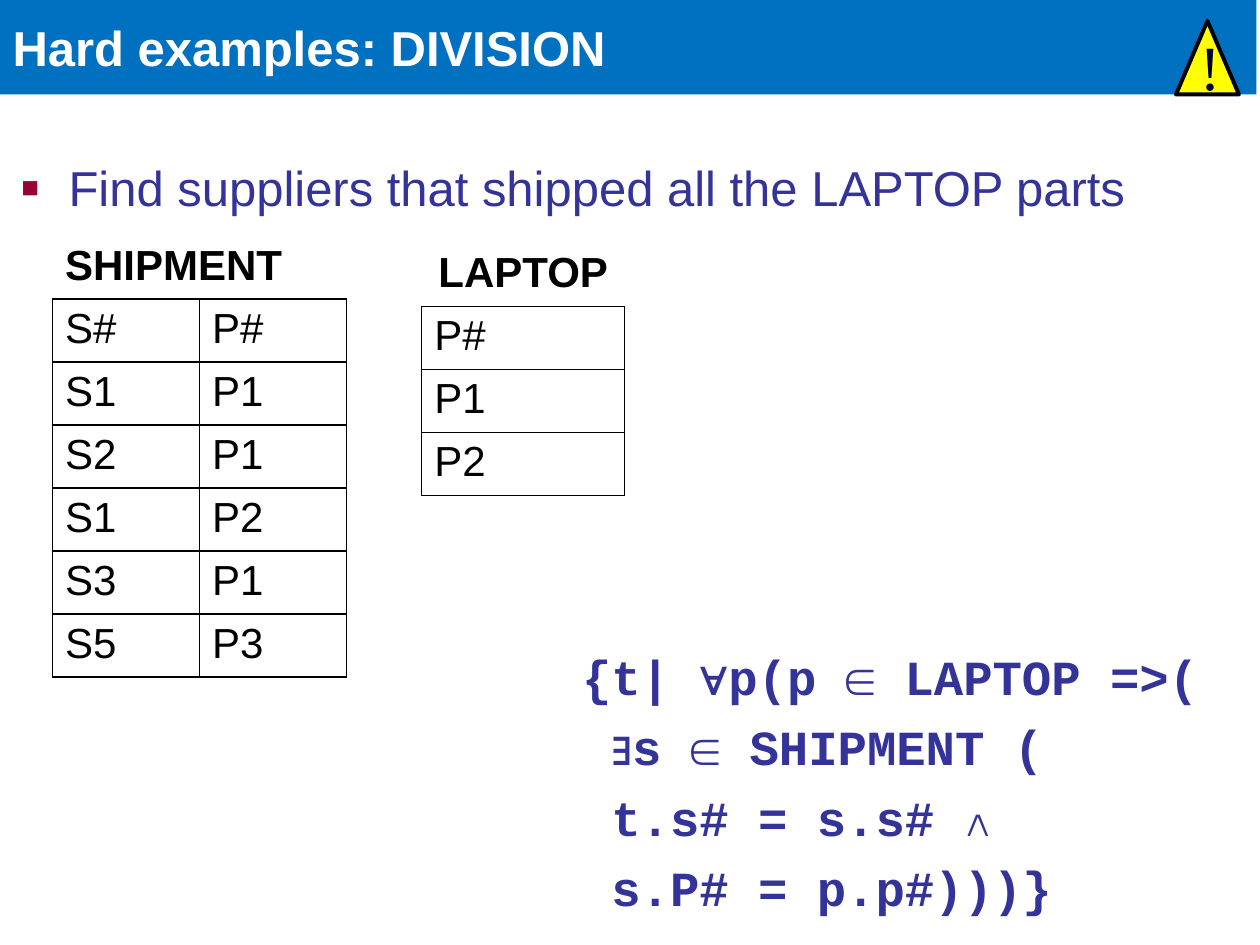
from dataclasses import dataclass

from lxml import etree
from pptx import Presentation
from pptx.dml.color import RGBColor as Rgb
from pptx.enum import shapes as kinds, text as txt
from pptx.oxml.ns import qn
from pptx.util import Pt


@dataclass(frozen=True)
class Theme:
    bar: Rgb = Rgb(0x00, 0x70, 0xC0)
    white: Rgb = Rgb(0xFF, 0xFF, 0xFF)
    ink: Rgb = Rgb(0x33, 0x33, 0x99)
    black: Rgb = Rgb(0, 0, 0)
    navy: Rgb = Rgb(0, 0, 0x33)
    sign: Rgb = Rgb(0xFF, 0xFF, 0)
    bullet: str = "990033"
    sans: str = "Arial"
    mono: str = "Courier New"
    serif: str = "Times New Roman"
    big: int = 28
    cell: int = 24
    mark: int = 36


T = Theme()
ROW = 36


def place(shape, box):
    shape.left, shape.top, shape.width, shape.height = map(Pt, box)


def style(font, name, size, color, bold=False):
    font.name, font.size, font.bold = name, Pt(size), bold
    font.color.rgb = color


def add_title(slide, box, words):
    title = slide.shapes.title
    place(title, box)
    title.fill.solid()
    title.fill.fore_color.rgb = T.bar
    frame = title.text_frame
    frame.text = words
    frame.auto_size = txt.MSO_AUTO_SIZE.NONE
    frame.vertical_anchor = txt.MSO_ANCHOR.MIDDLE
    para = frame.paragraphs[0]
    para.alignment = txt.PP_ALIGN.LEFT
    style(para.font, T.sans, T.big, T.white, True)


def add_bullet(para):
    props = para._p.get_or_add_pPr()
    props.set("marL", str(Pt(27)))
    props.set("indent", str(Pt(-27)))
    color = etree.SubElement(props, qn("a:buClr"))
    etree.SubElement(color, qn("a:srgbClr"), val=T.bullet)
    etree.SubElement(props, qn("a:buSzPct"), val="60000")
    etree.SubElement(props, qn("a:buFont"), typeface=T.sans)
    etree.SubElement(props, qn("a:buChar"), char="■")


def add_task(slide, box, words):
    body = slide.placeholders[1]
    place(body, box)
    frame = body.text_frame
    frame.text = words
    frame.auto_size = txt.MSO_AUTO_SIZE.NONE
    frame.margin_right = 0
    para = frame.paragraphs[0]
    add_bullet(para)
    para.space_before = Pt(6)
    style(para.font, T.sans, T.big, T.ink)


def add_warning(slide, box):
    left, top, width, height = box
    group = slide.shapes.add_group_shape()
    sign = group.shapes.add_shape(
        kinds.MSO_SHAPE.ISOSCELES_TRIANGLE, *map(Pt, box))
    sign.shadow.inherit = False
    sign.fill.solid()
    sign.fill.fore_color.rgb = T.sign
    sign.line.color.rgb = T.black
    sign.line.width = Pt(2.25)
    mark = group.shapes.add_textbox(
        Pt(left + 6.5), Pt(top), Pt(width - 6), Pt(height + 9))
    para = mark.text_frame.paragraphs[0]
    para.text = "!"
    style(para.font, T.serif, T.mark, T.navy)


def set_border(cell, drawn):
    """Draw the sides named in drawn; hide the others."""
    props = cell._tc.get_or_add_tcPr()
    for side in "LRTB":
        line = etree.SubElement(props, qn(f"a:ln{side}"), w=str(Pt(1)))
        if side in drawn:
            fill = etree.SubElement(line, qn("a:solidFill"))
            etree.SubElement(fill, qn("a:srgbClr"), val=str(T.black))
        else:
            etree.SubElement(line, qn("a:noFill"))


def add_relation(slide, spot, width, name, rows, align):
    """Add a table whose open top row holds the relation's name."""
    cols = len(rows[0])
    grid = [[name] + [""] * (cols - 1)] + rows
    table = slide.shapes.add_table(
        len(grid), cols, *map(Pt, (*spot, width, ROW * len(grid)))).table
    table.first_row = table.horz_banding = False
    for r, values in enumerate(grid):
        table.rows[r].height = Pt(ROW)
        for c, value in enumerate(values):
            cell = table.cell(r, c)
            set_border(cell, "LRTB" if r else "B")
            cell.fill.background()
            para = cell.text_frame.paragraphs[0]
            para.text = value
            style(para.font, T.sans, T.cell, T.black, r == 0)
    head = table.cell(0, 0)
    head.text_frame.paragraphs[0].alignment = align
    if cols > 1:
        head.merge(table.cell(0, cols - 1))


def add_query(slide, box, lines):
    frame = slide.shapes.add_textbox(*map(Pt, box)).text_frame
    frame.word_wrap = True
    frame.margin_right = 0
    for i, parts in enumerate(lines):
        para = frame.add_paragraph() if i else frame.paragraphs[0]
        para.space_before = Pt(6.5)
        for part in parts:
            run = para.add_run()
            run.text = part
            face = T.sans if part in "∀∃" else T.mono
            style(run.font, face, T.big, T.ink, True)


def main():
    deck = Presentation()
    deck.slide_width, deck.slide_height = Pt(720), Pt(540)
    slide = deck.slides.add_slide(deck.slide_layouts[1])
    add_title(slide, (0, 0, 718, 54), "Hard examples: DIVISION")
    add_task(slide, (5, 86.5, 703.5, 45),
             "Find suppliers that shipped all the LAPTOP parts")
    add_warning(slide, (672, 12, 36, 42))
    add_query(slide, (325.5, 366, 378, 183), [
        ["{t| ", "∀", "p(p ∈ LAPTOP =>("],
        [" ", "∃", "s ∈ SHIPMENT ("],
        [" t.s# = s.s# ∧"],
        [" s.P# = p.p#)))}"]])
    add_relation(slide, (30, 134.75), 168, "SHIPMENT", [
        ["S#", "P#"], ["S1", "P1"], ["S2", "P1"],
        ["S1", "P2"], ["S3", "P1"], ["S5", "P3"]], txt.PP_ALIGN.LEFT)
    add_relation(slide, (241, 139), 116, "LAPTOP",
                 [["P#"], ["P1"], ["P2"]], txt.PP_ALIGN.CENTER)
    deck.save("out.pptx")


if __name__ == "__main__":
    main()
